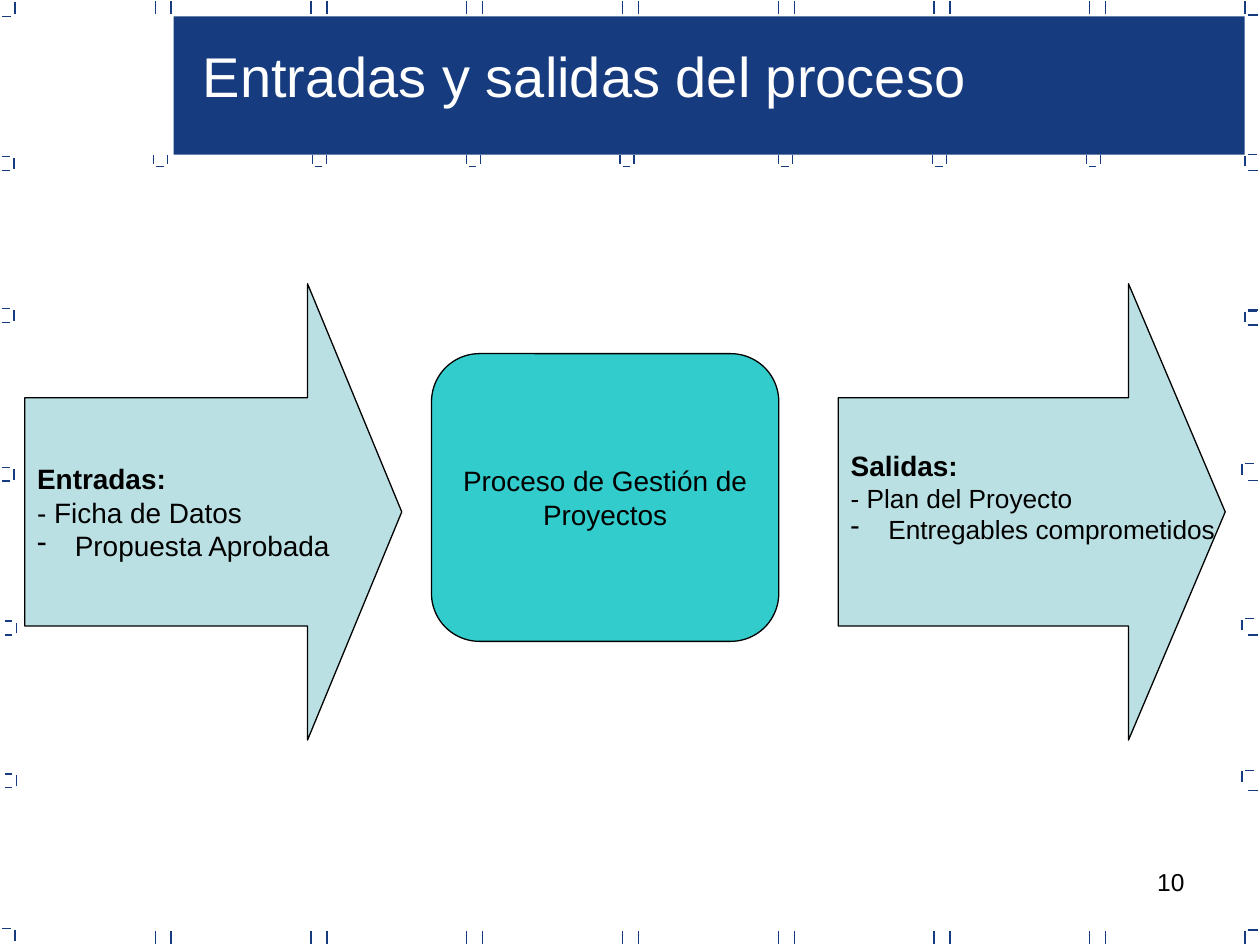
import pptx
import pptx.util
import pptx.dml.color
import pptx.enum.shapes
import pptx.enum.text
import pptx.oxml.ns
import lxml.etree

Cm = pptx.util.Cm
Pt = pptx.util.Pt
RGBColor = pptx.dml.color.RGBColor
Shape = pptx.enum.shapes.MSO_SHAPE
Align = pptx.enum.text.PP_ALIGN
Anchor = pptx.enum.text.MSO_ANCHOR
qn = pptx.oxml.ns.qn

NAVY = RGBColor(0x16, 0x3B, 0x7F)
PALE = RGBColor(0xBB, 0xE0, 0xE3)
TEAL = RGBColor(0x33, 0xCC, 0xCC)
BLACK = RGBColor(0, 0, 0)
WHITE = RGBColor(255, 255, 255)


class Deck:
    face = "Arial"
    thin = Pt(0.75)

    def __init__(self, wide, high):
        self.show = pptx.Presentation()
        self.show.slide_width = Cm(wide)
        self.show.slide_height = Cm(high)
        self.slide = self.show.slides.add_slide(self.show.slide_layouts[5])

    def font(self, para, size, color=BLACK):
        para.font.name = self.face
        para.font.size = Pt(size)
        para.font.color.rgb = color

    def frame(self, item, anchor, wrap=True):
        body = item.text_frame
        body.word_wrap = wrap
        body.auto_size = pptx.enum.text.MSO_AUTO_SIZE.NONE
        body.vertical_anchor = anchor
        body.margin_left = body.margin_right = Cm(0.25)
        body.margin_top = body.margin_bottom = Cm(0.13)
        return body

    def put(self, body, text, size, align, color=BLACK):
        para = body.paragraphs[0]
        para.text = text
        para.alignment = align
        self.font(para, size, color)

    def title(self, text, left, top, wide, high):
        item = self.slide.shapes.title
        item.left, item.top = Cm(left), Cm(top)
        item.width, item.height = Cm(wide), Cm(high)
        item.element.getparent().append(item.element)
        self.put(self.frame(item, Anchor.TOP), text, 32, Align.LEFT, WHITE)

    def label(self, text, left, top, wide, high):
        item = self.slide.shapes.add_textbox(Cm(left), Cm(top), Cm(wide), Cm(high))
        self.put(self.frame(item, Anchor.TOP), text, 14, Align.RIGHT)

    def line(self, x1, y1, x2, y2):
        item = self.slide.shapes.add_connector(
            pptx.enum.shapes.MSO_CONNECTOR.STRAIGHT, Cm(x1), Cm(y1), Cm(x2), Cm(y2))
        item.line.color.rgb = NAVY
        item.line.width = self.thin
        lxml.etree.SubElement(item.element.spPr, qn("a:effectLst"))

    def shape(self, kind, left, top, wide, high, fill, edge=None):
        item = self.slide.shapes.add_shape(kind, Cm(left), Cm(top), Cm(wide), Cm(high))
        item.shadow.inherit = False
        item.fill.solid()
        item.fill.fore_color.rgb = fill
        if edge is None:
            item.line.fill.background()
        else:
            item.line.color.rgb = edge
            item.line.width = self.thin
        return item

    def box(self, text, left, top, wide, high):
        item = self.shape(Shape.ROUNDED_RECTANGLE, left, top, wide, high, TEAL, BLACK)
        self.put(self.frame(item, Anchor.MIDDLE), text, 16, Align.CENTER)

    def arrow(self, head, first, second, size, left, wide, base=0.13):
        item = self.shape(Shape.RIGHT_ARROW, left, 5.72, wide, 9.2, PALE, BLACK)
        item.adjustments[0], item.adjustments[1] = 0.5, 0.25
        body = self.frame(item, Anchor.MIDDLE, False)
        body.margin_bottom = Cm(base)
        para = body.paragraphs[0]
        para.alignment = Align.LEFT
        self.font(para, size)
        run = para.add_run()
        run.text = head
        run.font.bold = True
        run.font.size = Pt(16)
        para.add_line_break()
        para.add_run().text = first
        para = body.add_paragraph()
        para.text = second
        para.alignment = Align.LEFT
        props = para._p.get_or_add_pPr()
        props.set("marL", str(Cm(0.76)))
        props.set("indent", str(Cm(-0.76)))
        lxml.etree.SubElement(props, qn("a:buChar")).set("char", "-")
        self.font(para, size)

    def marks(self):
        for step in range(7):
            for x in (3.13 + 3.14 * step, 3.45 + 3.14 * step):
                self.line(x, 0.28, x, 0.03)
                self.line(x, 19.02, x, 18.77)
        for x in (3.1, 6.3, 9.4, 12.5, 15.7, 18.8, 21.9):
            self.line(x, 3.3, x, 3.12)
            self.line(x + 0.28, 3.3, x + 0.28, 3.12)
            self.line(x + 0.05, 3.35, x + 0.2, 3.35)
        for x, y in ((0.05, 3.15), (0.05, 6.22), (0.05, 9.42), (0.1, 12.52), (0.1, 15.6)):
            self.line(x, y, x + 0.15, y)
            self.line(x, y + 0.28, x + 0.15, y + 0.28)
            self.line(x + 0.23, y + 0.25, x + 0.23, y + 0.03)
        for y, low, high in ((0.33, 0.28, 0.05), (18.72, 18.97, 18.75)):
            self.line(0.05, y, 0.23, y)
            self.line(0.3, low, 0.3, high)
        for y in (0.3, 3.43, 6.25, 6.55, 9.68, 12.8, 15.93, 18.75):
            self.line(25.15, y, 25.35, y)
        for y in (0.03, 18.77):
            self.line(25.1, y + 0.25, 25.1, y)
        for x, y in ((25.1, 3.12), (25.1, 6.27), (25.04, 9.34), (25.04, 12.47), (25.04, 15.53)):
            self.line(x, y + 0.23, x, y + 0.02)
            self.line(x + 0.05, y, x + 0.23, y)


def main():
    deck = Deck(25.4, 19.05)
    deck.marks()
    deck.shape(Shape.RECTANGLE, 3.5, 0.33, 21.59, 2.79, NAVY)
    deck.title("Entradas y salidas del proceso", 3.84, 0.71, 17.27, 1.63)
    deck.arrow("Entradas:", "- Ficha de Datos", "Propuesta Aprobada", 16, 0.5, 7.6)
    deck.box("Proceso de Gestión de Proyectos", 8.7, 7.13, 7, 5.8)
    deck.arrow("Salidas:", "- Plan del Proyecto", "Entregables comprometidos",
               15, 16.9, 7.8, 0.74)
    deck.label("10", 18.2, 17.35, 5.93, 1.32)
    deck.show.save("out.pptx")


if __name__ == "__main__":
    main()
